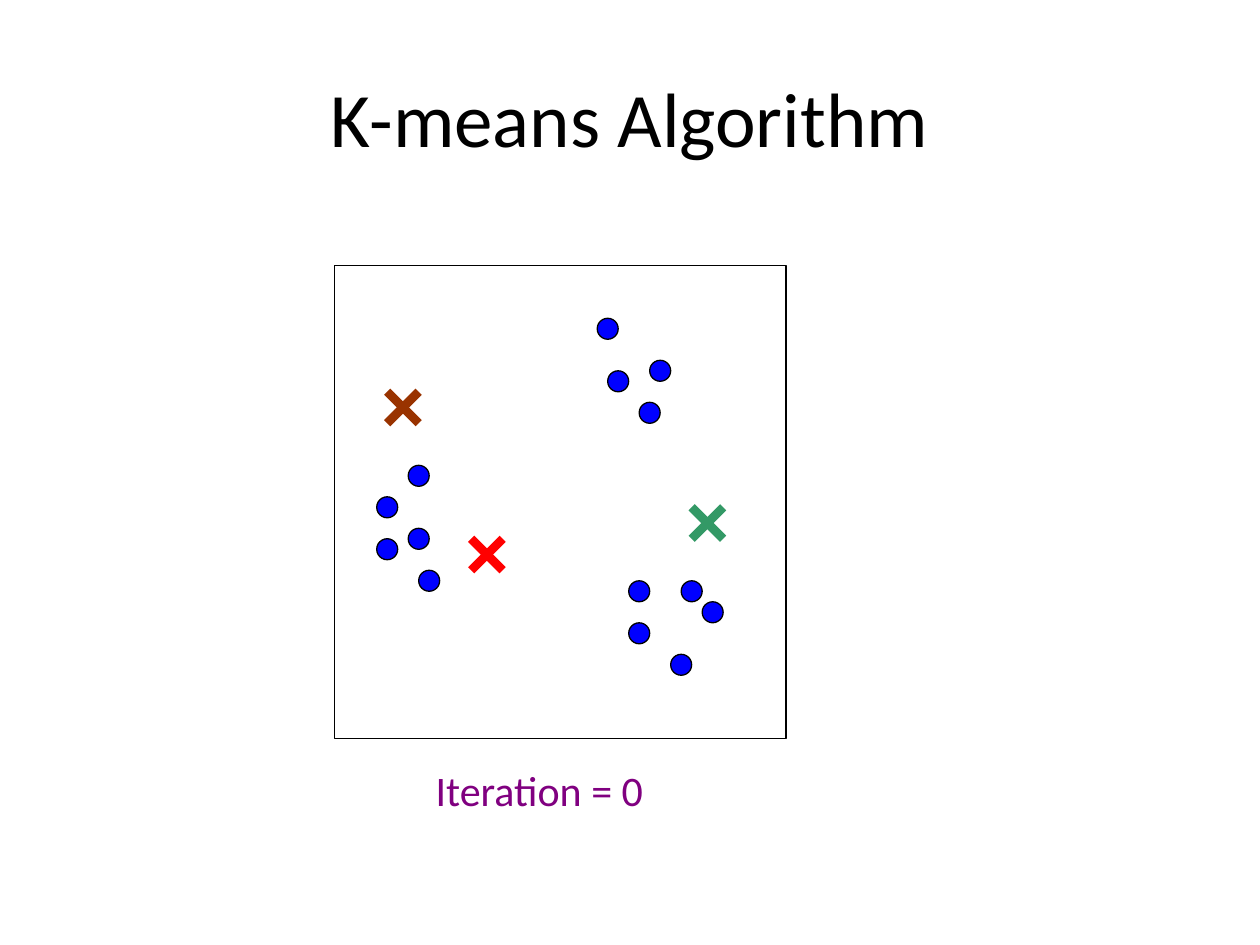
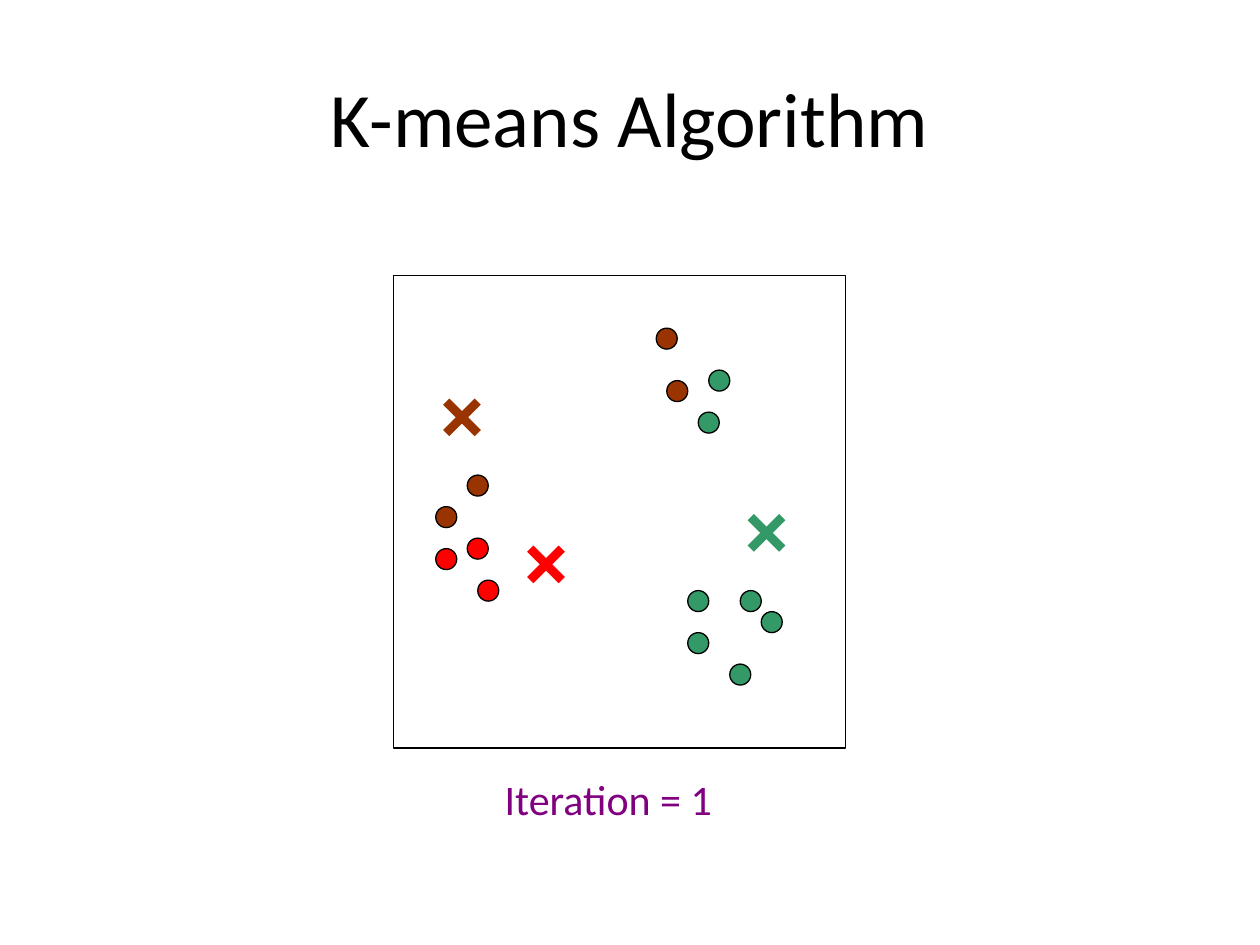
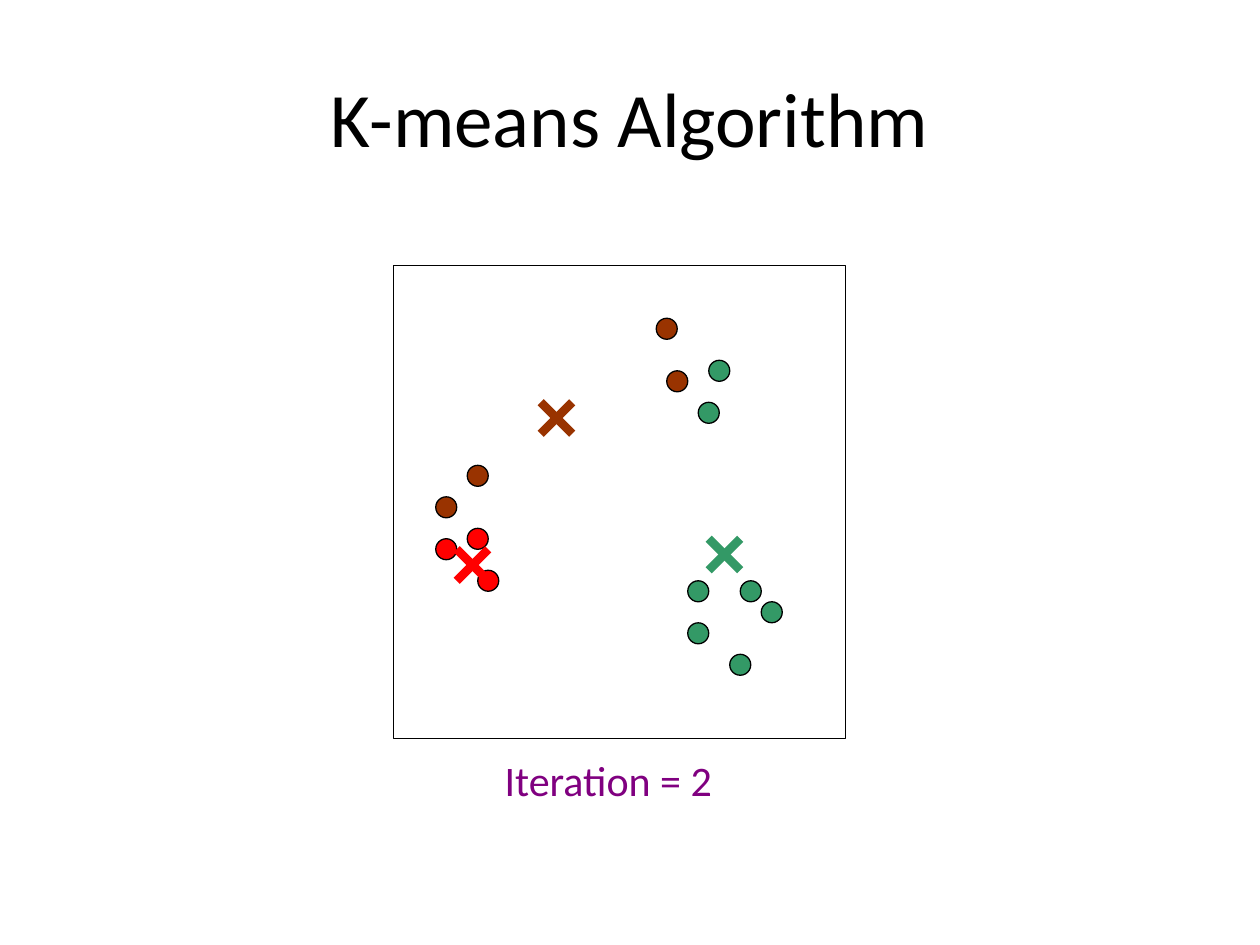
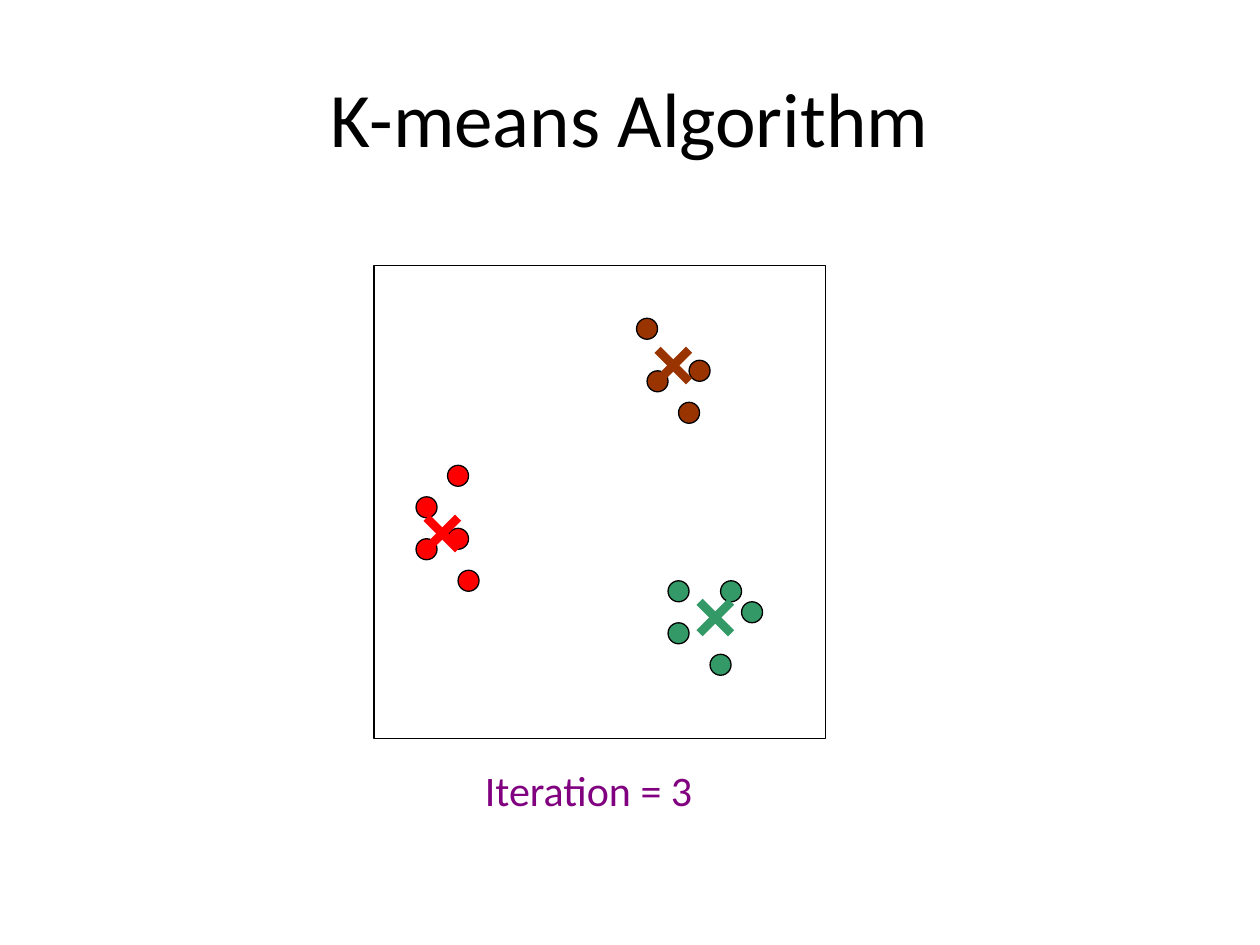
"""Build four slides that show the iterations of the k-means algorithm."""
from lxml import etree
from pptx import Presentation
from pptx.dml.color import RGBColor
from pptx.enum.shapes import MSO_CONNECTOR, MSO_SHAPE
from pptx.enum.text import MSO_ANCHOR, MSO_AUTO_SIZE, PP_ALIGN
from pptx.oxml.ns import qn
from pptx.util import Pt

ELLIPSE, RECTANGLE = MSO_SHAPE.OVAL, MSO_SHAPE.RECTANGLE
STRAIGHT = MSO_CONNECTOR.STRAIGHT
CENTER, LEFT = PP_ALIGN.CENTER, PP_ALIGN.LEFT
MIDDLE, TOP = MSO_ANCHOR.MIDDLE, MSO_ANCHOR.TOP
GROW, FIXED = MSO_AUTO_SIZE.SHAPE_TO_FIT_TEXT, MSO_AUTO_SIZE.NONE

COLORS = {
    "black": "000000",
    "blue": "0000FF",
    "brown": "993300",
    "red": "FF0000",
    "green": "339966",
    "purple": "800080",
}
FONT = "Calibri"
TITLE_BOX = (36, 21.6, 648, 90)
CAPTION_SIZE = (133.2, 36)

UNIT = 6
PLOT_COLUMNS, PLOT_ROWS = 43, 45
DOT_UNITS, CROSS_UNITS = 2, 3
POINTS = [
    (25, 5), (26, 10), (29, 13), (33, 30), (30, 9), (35, 32), (32, 37),
    (28, 30), (28, 34), (7, 19), (7, 25), (8, 29), (4, 22), (4, 26),
]
LETTERS = {"U": "blue", "B": "brown", "R": "red", "G": "green"}
START = {"red": (13, 26), "green": (34, 23), "brown": (5, 12)}

ITERATIONS = [
    {"plot": (191.25, 151.88), "caption": (50.6, 281.25),
     "clusters": "U" * len(POINTS), "centroids": START},
    {"plot": (225, 157.5), "caption": (56.25, 281.25),
     "clusters": "BBGGGGGGGBRRBR", "centroids": START},
    {"plot": (225, 151.88), "caption": (56.25, 275.6),
     "clusters": "BBGGGGGGGBRRBR",
     "centroids": {"green": (30, 26), "red": (6, 27), "brown": (14, 13)}},
    {"plot": (213.75, 151.88), "caption": (56.25, 281.25),
     "clusters": "BBBGBGGGGRRRRR",
     "centroids": {"green": (31, 32), "red": (5, 24), "brown": (27, 8)}},
]


def color(name):
    """Return the named colour."""
    return RGBColor.from_string(COLORS[name])


def add_text(slide, box, text, size, color_name, alignment=LEFT,
             anchor=TOP, wrap=True, auto_size=FIXED):
    """Add a text box with one run."""
    shape = slide.shapes.add_textbox(*map(Pt, box))
    frame = shape.text_frame
    frame.word_wrap = wrap
    frame.auto_size = auto_size
    frame.vertical_anchor = anchor
    paragraph = frame.paragraphs[0]
    paragraph.alignment = alignment
    run = paragraph.add_run()
    run.text = text
    run.font.name = FONT
    run.font.size = Pt(size)
    run.font.color.rgb = color(color_name)


def add_outlined(group, kind, box, fill=None):
    """Add a preset shape with a thin black outline."""
    shape = group.shapes.add_shape(kind, *map(Pt, box))
    shape.shadow.inherit = False
    if fill:
        shape.fill.solid()
        shape.fill.fore_color.rgb = color(fill)
    else:
        shape.fill.background()
    shape.line.color.rgb = color("black")
    shape.line.width = Pt(0.75)


def add_cross(group, left, top, color_name):
    """Mark a centroid with two crossed lines."""
    size = CROSS_UNITS * UNIT
    right, bottom = left + size, top + size
    for ends in ((left, top, right, bottom), (left, bottom, right, top)):
        connector = group.shapes.add_connector(STRAIGHT, *map(Pt, ends))
        connector.line.color.rgb = color(color_name)
        connector.line.width = Pt(5)
        properties = connector._element.find(qn("p:spPr"))
        etree.SubElement(properties, qn("a:effectLst"))


def add_scatter(slide, left, top, clusters, centroids):
    """Draw the framed points, coloured by cluster, and their centroids."""
    group = slide.shapes.add_group_shape()
    dot = DOT_UNITS * UNIT
    for (column, row), letter in zip(POINTS, clusters):
        box = (left + column * UNIT, top + row * UNIT, dot, dot)
        add_outlined(group, ELLIPSE, box, LETTERS[letter])
    add_outlined(group, RECTANGLE,
                 (left, top, PLOT_COLUMNS * UNIT, PLOT_ROWS * UNIT))
    for color_name, (column, row) in centroids.items():
        add_cross(group, left + column * UNIT, top + row * UNIT, color_name)


def add_iteration_slide(presentation, number, iteration):
    """Add the slide for one iteration."""
    slide = presentation.slides.add_slide(presentation.slide_layouts[6])
    left, top = iteration["plot"]
    add_scatter(slide, left, top, iteration["clusters"], iteration["centroids"])
    offset_x, offset_y = iteration["caption"]
    add_text(slide, (left + offset_x, top + offset_y, *CAPTION_SIZE),
             f"Iteration = {number}", 24, "purple", wrap=False, auto_size=GROW)
    add_text(slide, TITLE_BOX, "K-means Algorithm", 44, "black",
             alignment=CENTER, anchor=MIDDLE)


def main():
    """Build and save the presentation."""
    presentation = Presentation()
    presentation.slide_width, presentation.slide_height = Pt(720), Pt(540)
    for number, iteration in enumerate(ITERATIONS):
        add_iteration_slide(presentation, number, iteration)
    presentation.save("out.pptx")


if __name__ == "__main__":
    main()
